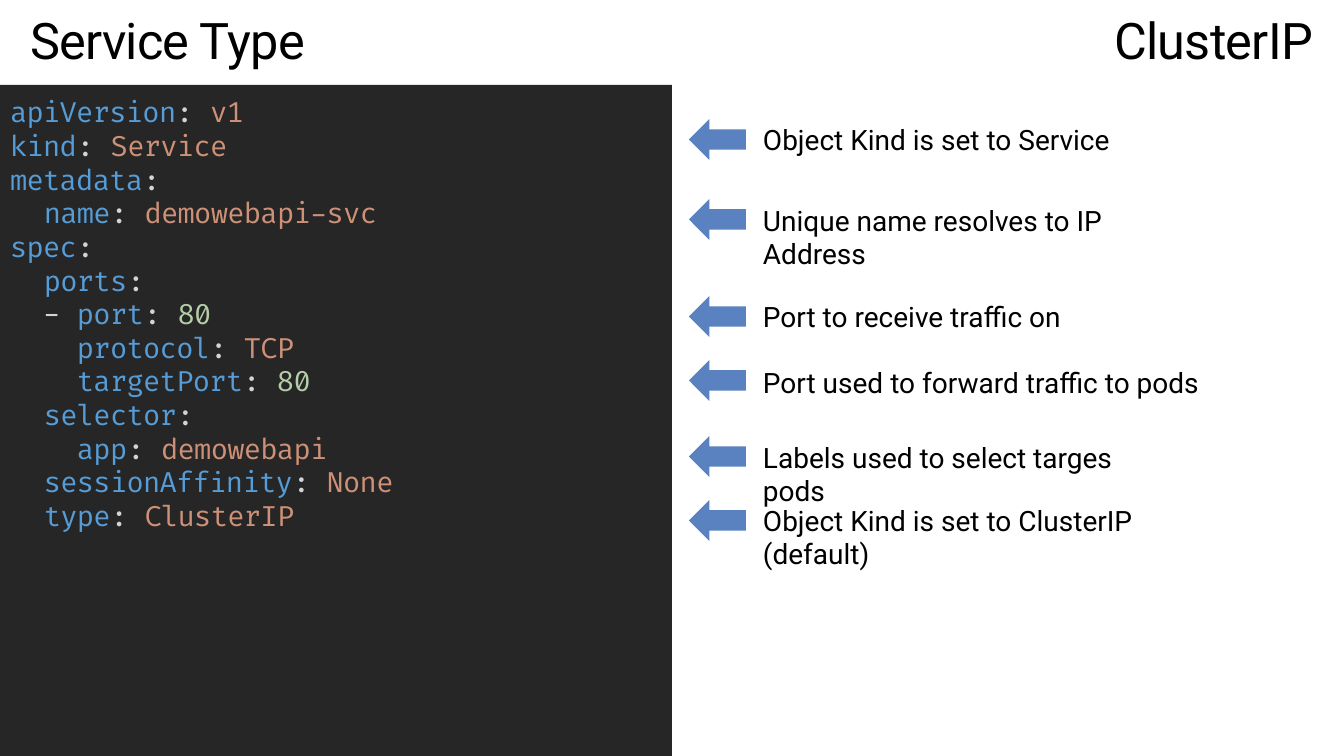
from pptx import Presentation
from pptx.dml.color import RGBColor
from pptx.enum.shapes import MSO_SHAPE
from pptx.enum.text import MSO_ANCHOR, MSO_AUTO_SIZE, PP_ALIGN
from pptx.util import Emu, Pt

BLACK = RGBColor(0x00, 0x00, 0x00)
PANEL = RGBColor(0x26, 0x26, 0x26)
ARROW = RGBColor(0x5A, 0x81, 0xC0)
KEY = RGBColor(0x56, 0x9C, 0xD6)
MARK = RGBColor(0xD4, 0xD4, 0xD4)
WORD = RGBColor(0xCE, 0x91, 0x78)
NUMBER = RGBColor(0xB5, 0xCE, 0xA8)

MANIFEST = """apiVersion: v1
kind: Service
metadata:
  name: demowebapi-svc
spec:
  ports:
  - port: 80
    protocol: TCP
    targetPort: 80
  selector:
    app: demowebapi
  sessionAffinity: None
  type: ClusterIP"""

NOTES = [
    ("Object Kind is set to Service", 119, 122, 348),
    ("Unique name resolves to IP Address", 199, 203, 440),
    ("Port to receive traffic on", 296, 299, 301),
    ("Port used to forward traffic to pods", 360, 365, 441),
    ("Labels used to select targes pods", 436, 440, 412),
    ("Object Kind is set to ClusterIP (default)", 500, 503, 470),
]


def px(length):
    return Emu(round(length * 914400 / 100.8))


def add_text(paragraph, text, *, font, size, color, spacing=0):
    run = paragraph.add_run()
    run.text = text
    run.font.name = font
    run.font.size = Pt(size)
    run.font.color.rgb = color
    if spacing:
        run.font._element.set("spc", str(spacing))


class ServiceSlide:
    text_font = "Roboto"
    code_font = "Fira Code"
    tight = -50

    def __init__(self, deck):
        self.slide = deck.slides.add_slide(deck.slide_layouts[6])

    def block(self, kind, left, top, width, height, fill):
        block = self.slide.shapes.add_shape(kind, px(left), px(top), px(width), px(height))
        block.shadow.inherit = False
        block.fill.solid()
        block.fill.fore_color.rgb = fill
        block.line.fill.background()
        return block

    def frame(self, holder, inset):
        frame = holder.text_frame
        frame.word_wrap = True
        frame.vertical_anchor = MSO_ANCHOR.TOP
        frame.margin_left = frame.margin_right = px(inset)
        frame.margin_top = frame.margin_bottom = px(inset)
        return frame

    def label(self, text, left, top, width, height, size, align=PP_ALIGN.LEFT, spacing=0):
        holder = self.slide.shapes.add_textbox(px(left), px(top), px(width), px(height))
        frame = self.frame(holder, 0)
        frame.auto_size = MSO_AUTO_SIZE.SHAPE_TO_FIT_TEXT
        paragraph = frame.paragraphs[0]
        paragraph.alignment = align
        add_text(paragraph, text, font=self.text_font, size=size, color=BLACK, spacing=spacing)

    def heading(self, text, left, align):
        self.label(text, left, 9, 380, 61, 36, align, self.tight)

    def code(self, source, left, top, width, height):
        panel = self.block(MSO_SHAPE.RECTANGLE, left, top, width, height, PANEL)
        paragraph = self.frame(panel, 10).paragraphs[0]
        paragraph.alignment = PP_ALIGN.LEFT
        for row, line in enumerate(source.splitlines()):
            if row:
                paragraph.add_line_break()
            entry, colon, value = line.partition(":")
            key = entry.lstrip(" -")
            lead = entry[:len(entry) - len(key)]
            value = value.strip()
            separator = colon + " " if value else colon
            value_color = NUMBER if value.isdigit() else WORD
            for text, color in ((lead, MARK), (key, KEY), (separator, MARK), (value, value_color)):
                if text:
                    add_text(paragraph, text, font=self.code_font, size=20,
                             color=color, spacing=self.tight)

    def note(self, text, arrow_top, text_top, width):
        self.label(text, 763, text_top, width, 34, 20)
        self.block(MSO_SHAPE.LEFT_ARROW, 689, arrow_top, 57, 41, ARROW)


def main():
    deck = Presentation()
    deck.slide_width, deck.slide_height = px(1344), px(756)
    page = ServiceSlide(deck)
    page.code(MANIFEST, 0, 85, 672, 671)
    page.heading("Service Type", 30, PP_ALIGN.LEFT)
    page.heading("ClusterIP", 933, PP_ALIGN.RIGHT)
    for note in NOTES:
        page.note(*note)
    deck.save("out.pptx")


if __name__ == "__main__":
    main()
